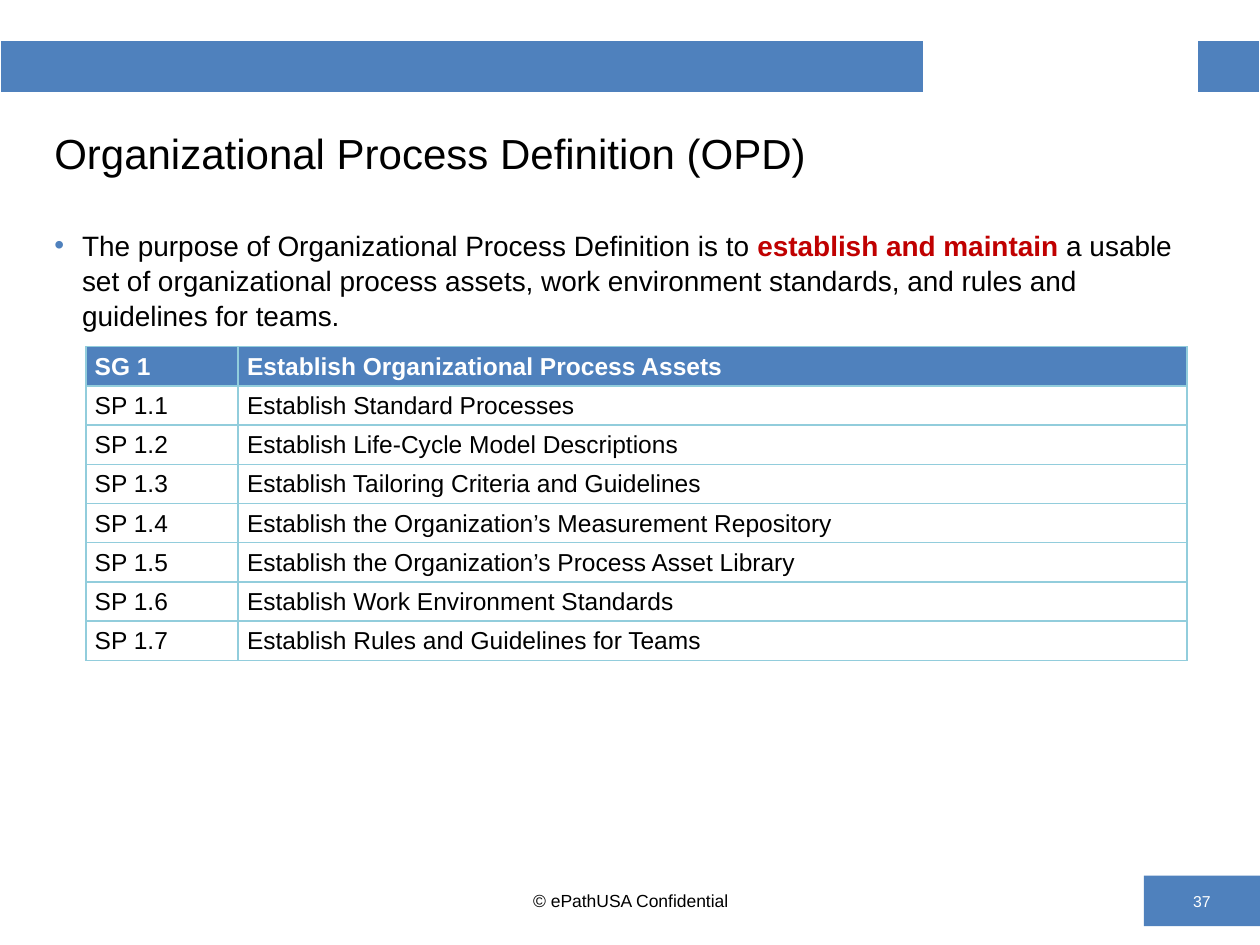
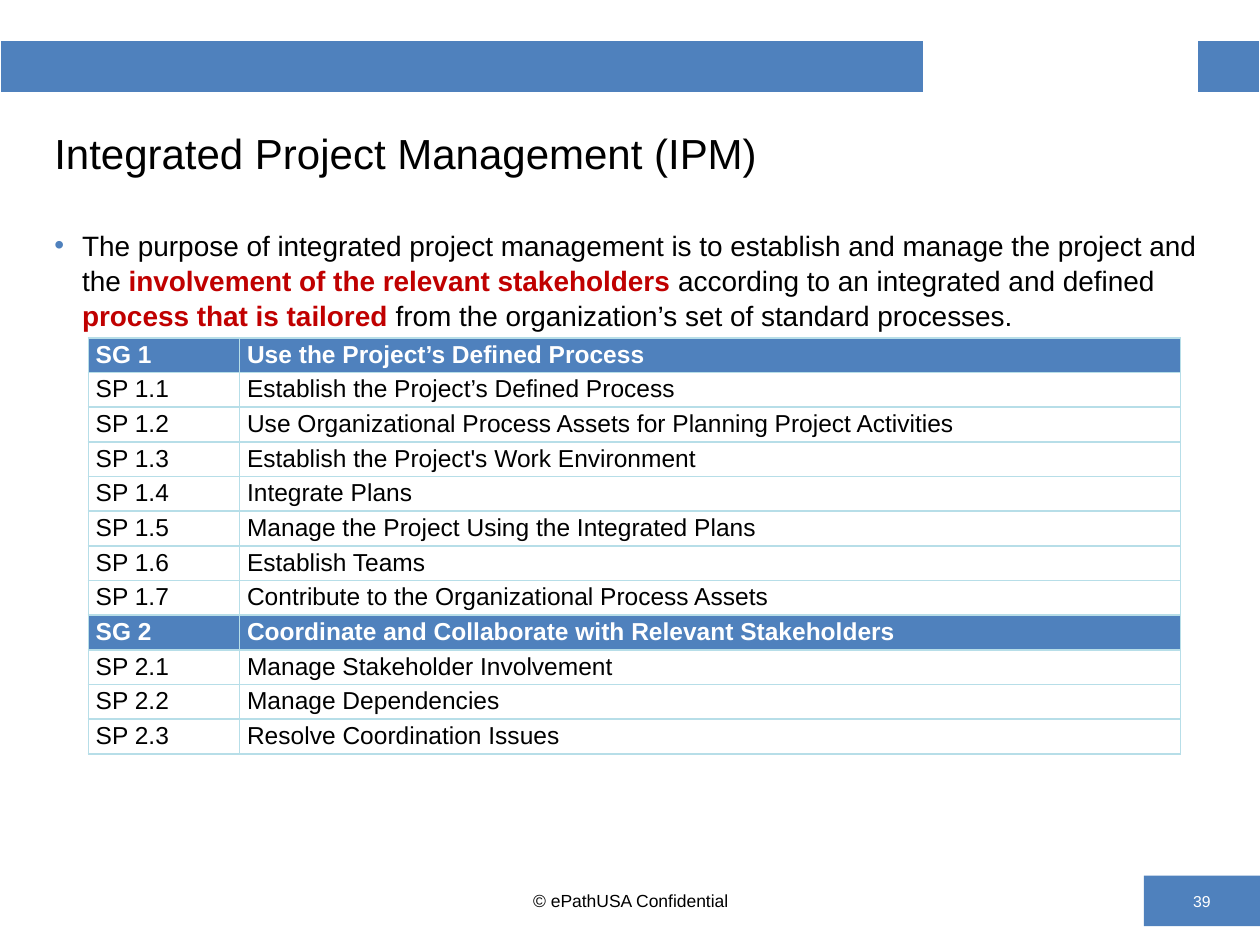
from lxml import etree
from pptx import Presentation
from pptx.dml.color import RGBColor
from pptx.enum import shapes, text
from pptx.oxml import ns
from pptx.util import Cm, Pt

FONT = "Arial"
BLUE, RED, BLACK, WHITE = "4F81BD", "C00000", "000000", "FFFFFF"
FOOTER = "© ePathUSA Confidential"
TITLE_AT = (0.84, 2.16, 23.7, 1.85)
BODY_AT = (0.84, 4.45, 23.7, 12.93)
FOOTER_AT = (8.69, 17.65, 8.05, 1.02)
NUMBER_AT = (23.06, 17.65, 2.34, 1.02)
MIDDLE = text.MSO_ANCHOR.MIDDLE
CENTER = text.PP_ALIGN.CENTER

SLIDES = [
    {
        "number": 37,
        "title": "Organizational Process Definition (OPD)",
        "purpose": [
            ("The purpose of Organizational Process Definition is to ", False),
            ("establish and maintain ", True),
            ("a usable set of organizational process assets, work environment "
             "standards, and rules and guidelines for teams.", False),
        ],
        "table": {"left": 1.73, "top": 6.99, "cols": (3.07, 19.13), "row": 0.79,
                  "margins": (0.18, 0.09), "spacing": 1.07, "border": "92CDDC"},
        "goals": [
            ("Establish Organizational Process Assets", [
                "Establish Standard Processes",
                "Establish Life-Cycle Model Descriptions",
                "Establish Tailoring Criteria and Guidelines",
                "Establish the Organization’s Measurement Repository",
                "Establish the Organization’s Process Asset Library",
                "Establish Work Environment Standards",
                "Establish Rules and Guidelines for Teams",
            ]),
        ],
    },
    {
        "number": 39,
        "title": "Integrated Project Management (IPM)",
        "purpose": [
            ("The purpose of integrated project management is to establish and "
             "manage the project and the ", False),
            ("involvement of the relevant stakeholders ", True),
            ("according to an integrated and defined ", False),
            ("process that is tailored ", True),
            ("from the organization’s set of standard processes.", False),
        ],
        "table": {"left": 1.78, "top": 6.81, "cols": (3.05, 18.97), "row": 0.7,
                  "margins": (0.15, 0.06), "spacing": 1.0, "border": "B7DEE8"},
        "goals": [
            ("Use the Project’s Defined Process", [
                "Establish the Project’s Defined Process",
                "Use Organizational Process Assets for Planning Project Activities",
                "Establish the Project's Work Environment",
                "Integrate Plans",
                "Manage the Project Using the Integrated Plans",
                "Establish Teams",
                "Contribute to the Organizational Process Assets",
            ]),
            ("Coordinate and Collaborate with Relevant Stakeholders", [
                "Manage Stakeholder Involvement",
                "Manage Dependencies",
                "Resolve Coordination Issues",
            ]),
        ],
    },
]


def rgb(color):
    return RGBColor.from_string(color)


def cms(values):
    return [Cm(v) for v in values]


def assign(obj, **values):
    for name, value in values.items():
        setattr(obj, name, value)


def add_run(p, words, size, color=BLACK, bold=False):
    r = p.add_run()
    r.text = words
    assign(r.font, name=FONT, size=Pt(size), bold=bold)
    r.font.color.rgb = rgb(color)


def place(sp, at):
    assign(sp, **dict(zip(("left", "top", "width", "height"), cms(at))))


def set_bullet(p, char, color, indent):
    pPr = p._p.get_or_add_pPr()
    pPr.set("marL", str(Cm(indent)))
    pPr.set("indent", str(-Cm(indent)))
    clr = etree.SubElement(pPr, ns.qn("a:buClr"))
    etree.SubElement(clr, ns.qn("a:srgbClr"), val=color)
    etree.SubElement(pPr, ns.qn("a:buFont"), typeface=FONT)
    etree.SubElement(pPr, ns.qn("a:buChar"), char=char)


def set_cell(cell, borders, fill=None):
    """Give the cell its borders, as {side: (colour, points)}, and its fill."""
    tcPr = cell._tc.get_or_add_tcPr()
    for side in "LRTB":
        color, width = borders[side]
        ln = etree.SubElement(tcPr, ns.qn(f"a:ln{side}"), w=str(Pt(width)))
        solid = etree.SubElement(ln, ns.qn("a:solidFill"))
        etree.SubElement(solid, ns.qn("a:srgbClr"), val=color)
    if fill:
        cell.fill.solid()
        cell.fill.fore_color.rgb = rgb(fill)
    else:
        cell.fill.background()


def add_grid(s, left, top, cols, row, count):
    """Add an unstyled table of count equal rows."""
    at = cms((left, top, sum(cols), row * count))
    table = s.shapes.add_table(count, len(cols), *at).table
    assign(table, first_row=False, horz_banding=False)
    for column, width in zip(table.columns, cols):
        column.width = Cm(width)
    for table_row in table.rows:
        table_row.height = Cm(row)
    return table


def add_band(s):
    band = add_grid(s, 0, 0.81, (18.62, 5.51, 1.27), 1.09, 1)
    borders = {**dict.fromkeys("LRT", (WHITE, 1)), "B": (WHITE, 3)}
    for cell, fill in zip(band.iter_cells(), (BLUE, None, BLUE)):
        set_cell(cell, borders, fill)


def add_page_number(s, number):
    sp = s.shapes.add_shape(shapes.MSO_SHAPE.RECTANGLE, *cms(NUMBER_AT))
    sp.shadow.inherit = False
    sp.fill.solid()
    sp.fill.fore_color.rgb = rgb(BLUE)
    sp.line.fill.background()
    tf = sp.text_frame
    tf.vertical_anchor = MIDDLE
    tf.paragraphs[0].alignment = CENTER
    add_run(tf.paragraphs[0], str(number), 9, WHITE)


def add_footer(s):
    tf = s.shapes.add_textbox(*cms(FOOTER_AT)).text_frame
    assign(tf, word_wrap=True, vertical_anchor=MIDDLE)
    tf.paragraphs[0].alignment = CENTER
    add_run(tf.paragraphs[0], FOOTER, 10)


def fill_title(s, title):
    place(s.shapes.title, TITLE_AT)
    tf = s.shapes.title.text_frame
    assign(tf, vertical_anchor=MIDDLE, auto_size=text.MSO_AUTO_SIZE.NONE)
    tf.paragraphs[0].alignment = text.PP_ALIGN.LEFT
    add_run(tf.paragraphs[0], title, 24)


def fill_purpose(s, parts):
    body = s.placeholders[1]
    place(body, BODY_AT)
    tf = body.text_frame
    tf.auto_size = text.MSO_AUTO_SIZE.NONE
    p = tf.paragraphs[0]
    set_bullet(p, "•", BLUE, 0.56)
    assign(p, space_before=Pt(0), line_spacing=1.04)
    for words, key in parts:
        add_run(p, words, 16, RED if key else BLACK, key)


def goal_rows(goals):
    """Number the goals and practices: (code, name, is_goal)."""
    for g, (goal, practices) in enumerate(goals, 1):
        yield f"SG {g}", goal, True
        for n, practice in enumerate(practices, 1):
            yield f"SP {g}.{n}", practice, False


def add_goal_table(s, goals, left, top, cols, row, margins, spacing, border):
    rows = list(goal_rows(goals))
    table = add_grid(s, left, top, cols, row, len(rows))
    borders = dict.fromkeys("LRTB", (border, 1))
    side, edge = cms(margins)
    for i, (code, name, is_goal) in enumerate(rows):
        for j, words in enumerate((code, name)):
            cell = table.cell(i, j)
            set_cell(cell, borders, BLUE if is_goal else None)
            assign(cell, margin_left=side, margin_right=side,
                   margin_top=edge, margin_bottom=edge)
            p = cell.text_frame.paragraphs[0]
            p.line_spacing = spacing
            add_run(p, words, 14, WHITE if is_goal else BLACK, is_goal)


def main():
    prs = Presentation()
    assign(prs, slide_width=Cm(25.4), slide_height=Cm(19.05))
    for content in SLIDES:
        s = prs.slides.add_slide(prs.slide_layouts[1])
        add_band(s)
        add_page_number(s, content["number"])
        fill_title(s, content["title"])
        fill_purpose(s, content["purpose"])
        add_goal_table(s, content["goals"], **content["table"])
        add_footer(s)
    prs.save("out.pptx")


if __name__ == "__main__":
    main()
